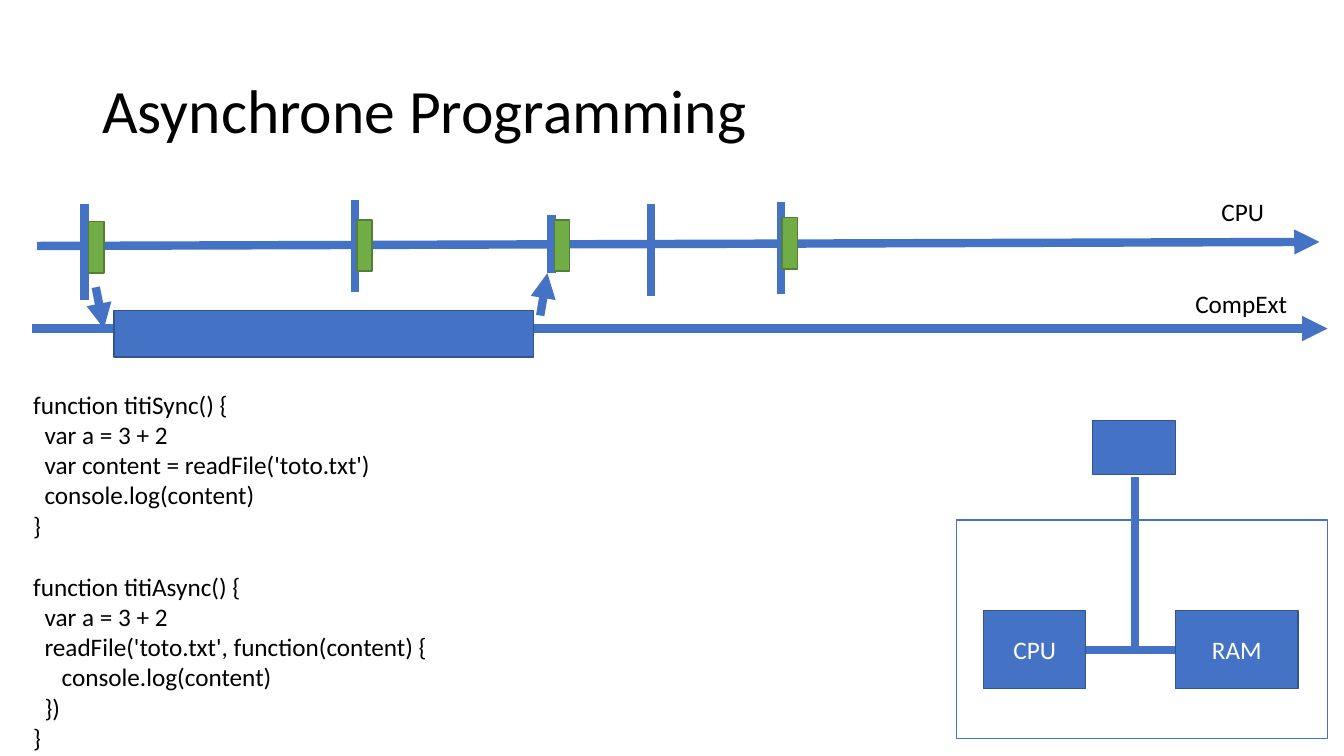
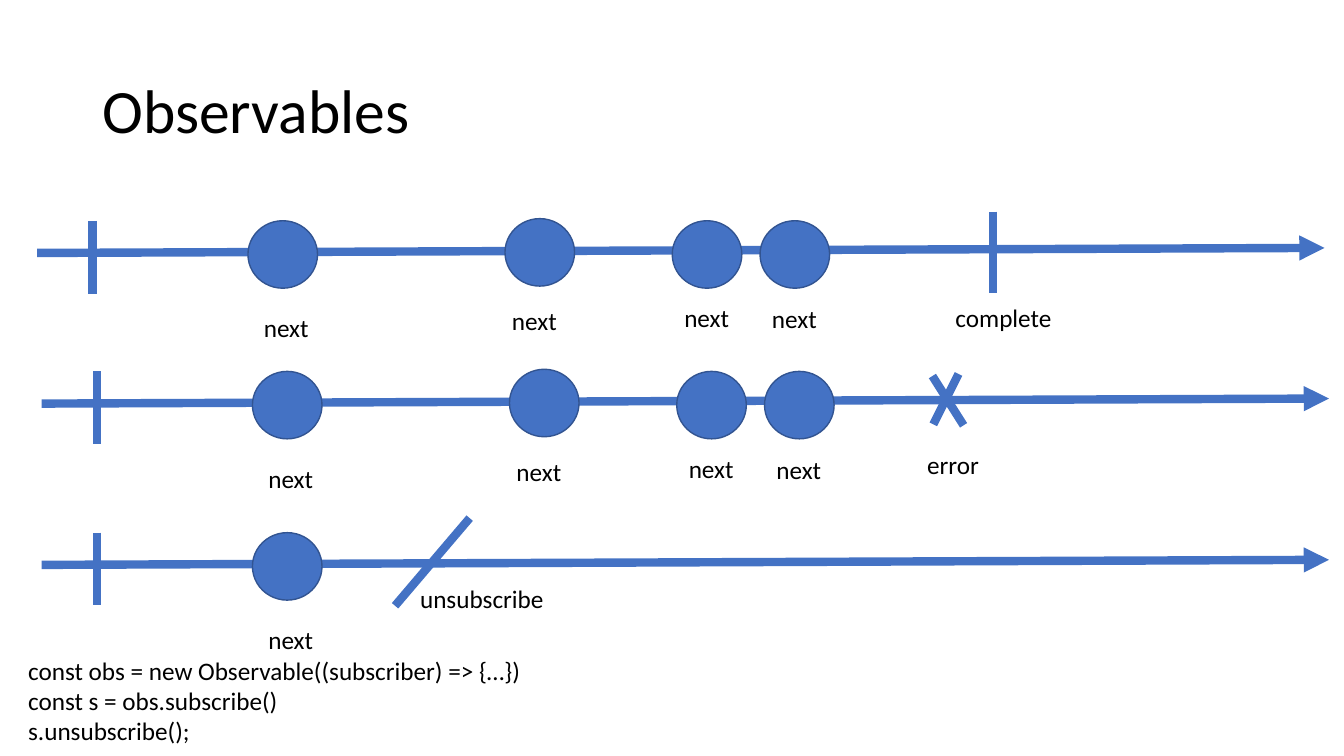
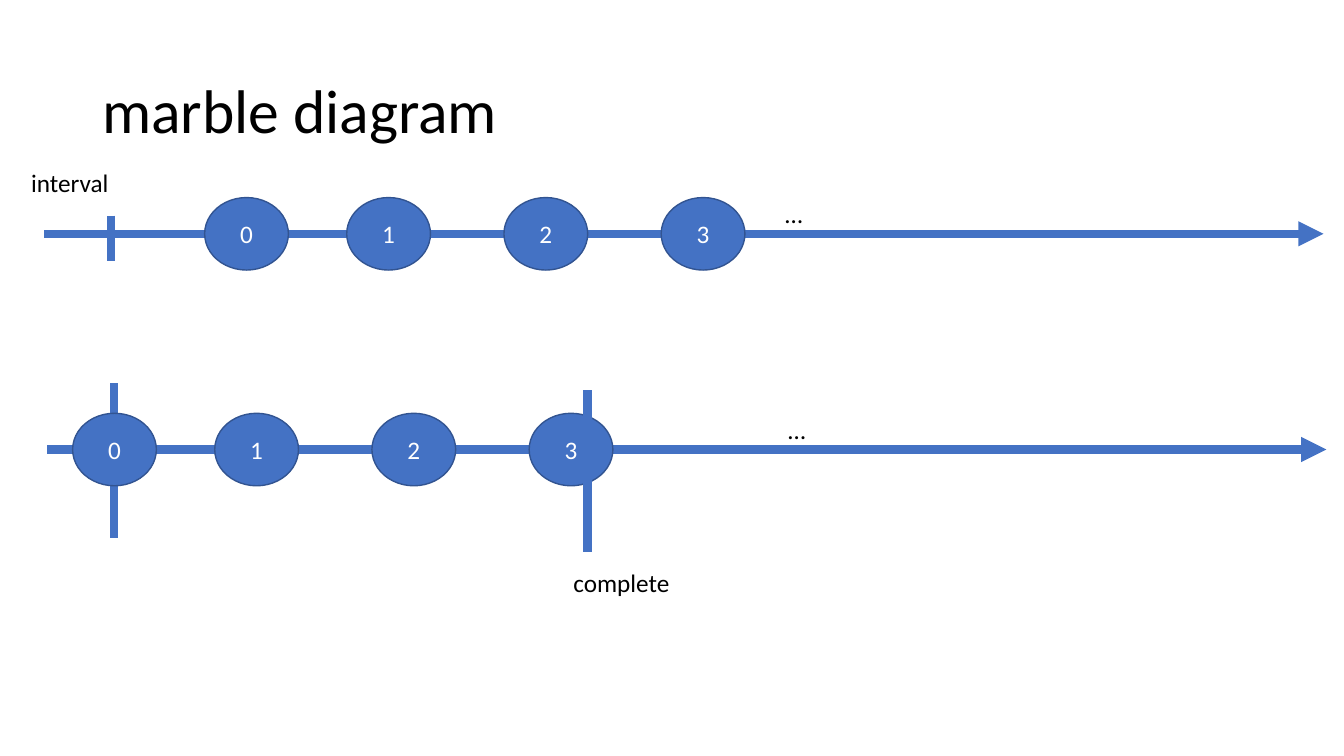
from lxml import etree
from pptx import Presentation
from pptx.dml.color import RGBColor
from pptx.enum.shapes import MSO_CONNECTOR, MSO_SHAPE
from pptx.enum.text import MSO_ANCHOR, MSO_AUTO_SIZE, PP_ALIGN
from pptx.oxml.ns import qn
from pptx.util import Pt

STRAIGHT = MSO_CONNECTOR.STRAIGHT
RECT, OVAL = MSO_SHAPE.RECTANGLE, MSO_SHAPE.OVAL
MIDDLE, TOP = MSO_ANCHOR.MIDDLE, MSO_ANCHOR.TOP
CENTER, LEFT = PP_ALIGN.CENTER, PP_ALIGN.LEFT
FIT = MSO_AUTO_SIZE.SHAPE_TO_FIT_TEXT
FONT = "Calibri"
COLORS = {
    "blue": "4472C4",
    "blue_edge": "325491",
    "green": "70AD47",
    "green_edge": "538035",
    "white": "FFFFFF",
    "black": "000000",
}
RGB = {name: RGBColor.from_string(value) for name, value in COLORS.items()}


def add_line(s, x1, y1, x2, y2, arrow=False):
    line = s.shapes.add_connector(STRAIGHT, Pt(x1), Pt(y1), Pt(x2), Pt(y2))
    line.line.color.rgb = RGB["blue"]
    line.line.width = Pt(6)
    if arrow:
        ln = line.line._get_or_add_ln()
        etree.SubElement(ln, qn("a:tailEnd"), type="triangle")
    etree.SubElement(line._element.spPr, qn("a:effectLst"))


def add_box(s, x, y, w, h, text="", kind=None, fill="blue", edge="blue_edge", size=18):
    frame = Pt(x), Pt(y), Pt(w), Pt(h)
    if kind is None:
        sp = s.shapes.add_textbox(*frame)
        color, align, anchor = "black", LEFT, TOP
        sp.text_frame.word_wrap = False
        sp.text_frame.auto_size = FIT
    else:
        sp = s.shapes.add_shape(kind, *frame)
        sp.shadow.inherit = False
        sp.fill.solid()
        sp.fill.fore_color.rgb = RGB[fill]
        sp.line.color.rgb = RGB[edge]
        sp.line.width = Pt(1)
        color, align, anchor = "white", CENTER, MIDDLE
    if text:
        tf = sp.text_frame
        tf.text = text
        tf.vertical_anchor = anchor
        for p in tf.paragraphs:
            p.alignment = align
            for r in p.runs:
                r.font.name = FONT
                r.font.size = Pt(size)
                r.font.color.rgb = RGB[color]
    return sp


prs = Presentation()
prs.slide_width, prs.slide_height = Pt(960), Pt(540)
slides = []
for title in ("Asynchrone Programming", "Observables", "marble diagram"):
    s = prs.slides.add_slide(prs.slide_layouts[6])
    tf = add_box(s, 66, 28.8, 828, 104.4, title, size=44).text_frame
    tf.auto_size = MSO_AUTO_SIZE.NONE
    tf.word_wrap = True
    tf.vertical_anchor = MIDDLE
    tf.paragraphs[0].line_spacing = 0.9
    slides.append(s)
async_slide, observable_slide, marble_slide = slides

s = async_slide
add_line(s, 26.6, 175.7, 942.5, 172.8, arrow=True)
add_box(s, 865.4, 136.8, 45.4, 28.8, "CPU")
for x, top, bottom in (
    (60.5, 145.4, 214.6),
    (253.4, 142.6, 208.8),
    (393.8, 153.4, 195.1),
    (465.1, 145.4, 211.7),
    (558, 144, 210.2),
):
    add_line(s, x, top, x, bottom)
for x, y in ((63.4, 158.4), (254.9, 157), (396, 157), (558.7, 155.5)):
    add_box(s, x, y, 10.8, 36.7, kind=RECT, fill="green", edge="green_edge")

add_line(s, 23, 234.7, 948.2, 234.7, arrow=True)
add_box(s, 846.7, 202.3, 80.6, 28.8, "CompExt")
add_line(s, 68.4, 205.2, 74.2, 234.7, arrow=True)
add_box(s, 81.4, 221.8, 299.5, 33.1, kind=RECT)
add_line(s, 385.9, 225.4, 391, 195.1, arrow=True)

code = (
    (0, "function titiSync() {"),
    (2, "var a = 3 + 2"),
    (2, "var content = readFile('toto.txt')"),
    (2, "console.log(content)"),
    (0, "}"),
    (0, "function titiAsync() {"),
    (2, "var a = 3 + 2"),
    (2, "readFile('toto.txt', function(content) {"),
    (5, "console.log(content)"),
    (2, "})"),
    (0, "}"),
)
sp = add_box(s, 16.6, 274.3, 299.5, 290.9, "\n".join(text for _, text in code))
for p, (indent, text) in zip(sp.text_frame.paragraphs, code):
    p._p.get_or_add_pPr().set("marL", str(Pt(indent * 4.07)))
    if text.startswith("function titiAsync"):
        p.space_before = Pt(22)

add_box(s, 683.3, 371.5, 265, 156.2, kind=RECT, fill="white", edge="blue")
add_box(s, 702.7, 436.3, 72.7, 55.4, "CPU", RECT)
add_box(s, 839.5, 436.3, 87.8, 55.4, "RAM", RECT)
add_line(s, 775.4, 464.4, 839.5, 464.4)
add_line(s, 810.7, 466.6, 810.7, 340.6)
add_box(s, 780.5, 300.2, 59, 38.9, kind=RECT)

s = observable_slide
events = (
    (177.1, 157.7, 181.4, 219.6),
    (360.7, 156.2, 358.6, 214.6),
    (480.2, 157.7, 481.7, 212.4),
    (542.9, 157.7, 544.3, 213.1),
)
for dx, dy, count in ((0, 0, 4), (3.2, 107.6, 4), (3.2, 222.8, 1)):
    add_line(s, 26.6 + dx, 180.7 + dy, 946.1 + dx, 177.1 + dy, arrow=True)
    add_line(s, 66.2 + dx, 157.7 + dy, 66.2 + dx, 209.7 + dy)
    for x, y, label_x, label_y in events[:count]:
        add_box(s, x + dx, y + dy, 49.7, 48.2, kind=OVAL)
        add_box(s, label_x + dx, label_y + dy, 46.8, 28.8, "next")
add_line(s, 709.2, 151.2, 709.2, 209.5)
add_box(s, 675.4, 212.4, 84.2, 28.8, "complete")
add_line(s, 666, 268.6, 688.3, 303.8)
add_line(s, 684.7, 267.1, 666.7, 303.1)
add_box(s, 655.2, 317.5, 51.8, 28.8, "error")
add_line(s, 335.5, 370.1, 282.2, 432.7)
add_box(s, 293, 413.3, 103.7, 28.8, "unsubscribe")
add_box(
    s, 13, 464.4, 370.1, 72.7,
    "const obs = new Observable((subscriber) => {…})\n"
    "const s = obs.subscribe()\n"
    "s.unsubscribe();",
)

s = marble_slide
add_box(s, 15.1, 115.9, 70.6, 28.8, "interval")
for axis_x, axis_y, tick_x, tick_top, tick_bottom, shift in (
    (31.7, 167, 79.2, 154.1, 186.5, 0),
    (33.8, 321.1, 81.4, 273.6, 384.5, -94.3),
):
    add_line(s, axis_x, axis_y, axis_x + 913.7, axis_y, arrow=True)
    add_line(s, tick_x, tick_top, tick_x, tick_bottom)
    for value, x in enumerate((146.2, 247.7, 360, 472.3)):
        add_box(s, x + shift, axis_y - 25.9, 59.8, 51.8, str(value), OVAL)
    add_box(s, axis_x + 522, axis_y - 28.8, 27.4, 28.8, "…")
add_line(s, 419.8, 278.6, 419.8, 394.6)
add_box(s, 402.5, 401.8, 84.2, 28.8, "complete")

prs.save("out.pptx")
